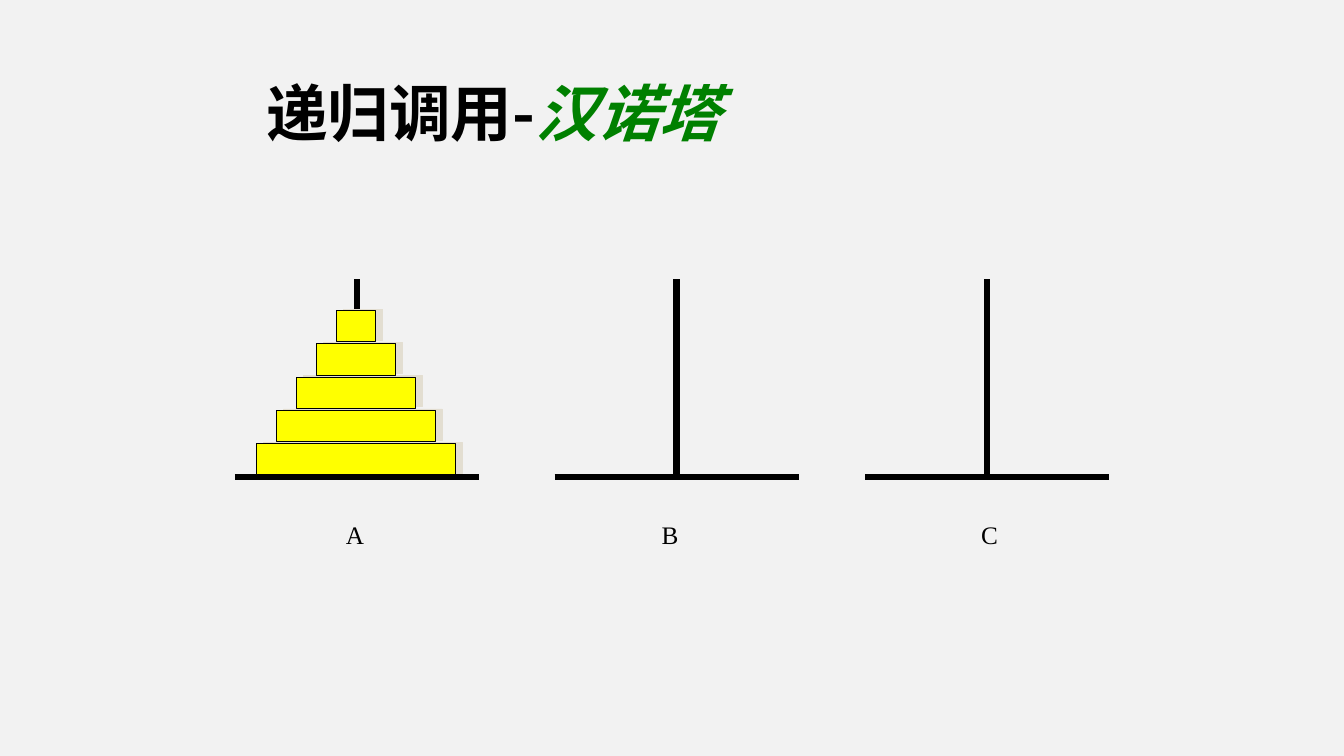
from lxml import etree
from pptx import Presentation
from pptx import util as u
from pptx.dml.color import RGBColor
from pptx.enum import shapes, text
from pptx.oxml.ns import qn

WIDE, HIGH = 13.33, 7.5
HAN, LATIN = "Noto Sans CJK SC", "Times New Roman"
HEX = {"back": "F2F2F2", "ink": "000000", "disc": "FFFF00",
       "shade": "E3DED1", "accent": "008000"}

# Shares of the slide, in percent
BASE, FOOT, TOP = 18.15, 63.07, 36.93
DISCS, STEP, THICK, PITCH, FIRST = 5, 2.95, 4.13, 4.4, 41.07
PEGS = [("A", 26.56, 26.41), ("B", 50.34, 49.85), ("C", 73.44, 73.63)]


def across(share):
    return u.Inches(WIDE * share / 100)


def down(share):
    return u.Inches(HIGH * share / 100)


def color(name):
    return RGBColor.from_string(HEX[name])


def add_line(slide, x1, y1, x2, y2):
    line = slide.shapes.add_connector(
        shapes.MSO_CONNECTOR.STRAIGHT, across(x1), down(y1), across(x2), down(y2))
    line.line.color.rgb = color("ink")
    line.line.width = u.Pt(4.5)
    etree.SubElement(line._element.spPr, qn("a:effectLst"))


def add_shade(shape):
    shape.shadow.inherit = False
    effect = shape._element.spPr.find(qn("a:effectLst"))
    shade = etree.SubElement(effect, qn("a:outerShdw"), blurRad="0",
                             dist=str(u.Pt(5.1)), dir=str(349 * 60000),
                             algn="ctr", rotWithShape="0")
    etree.SubElement(shade, qn("a:srgbClr"), val=HEX["shade"])


def add_disc(slide, mid, rank):
    width = STEP * rank
    disc = slide.shapes.add_shape(
        shapes.MSO_SHAPE.RECTANGLE, across(mid - width / 2),
        down(FIRST + PITCH * (rank - 1)), across(width), down(THICK))
    disc.fill.solid()
    disc.fill.fore_color.rgb = color("disc")
    disc.line.color.rgb = color("ink")
    disc.line.width = u.Pt(0.5)
    add_shade(disc)


def add_label(slide, words, mid):
    width = 2.85
    box = slide.shapes.add_textbox(across(mid - width / 2), down(68),
                                   across(width), down(5.47))
    frame = box.text_frame
    frame.word_wrap = False
    frame.vertical_anchor = text.MSO_ANCHOR.MIDDLE
    para = frame.paragraphs[0]
    para.text = words
    para.alignment = text.PP_ALIGN.CENTER
    para.font.name = LATIN
    para.font.size = u.Pt(18)
    para.font.color.rgb = color("ink")


def set_title(slide):
    title = slide.shapes.title
    title.left, title.top = across(19.05), down(5.73)
    title.width, title.height = across(47.79), down(19.33)
    frame = title.text_frame
    frame.word_wrap = True
    frame.vertical_anchor = text.MSO_ANCHOR.MIDDLE
    para = frame.paragraphs[0]
    para.alignment = text.PP_ALIGN.LEFT
    para.line_spacing = 0.9
    for words, tint, slant in [("递归调用-", "ink", False), ("汉诺塔", "accent", True)]:
        run = para.add_run()
        run.text = words
        font = run.font
        font.size, font.bold, font.italic = u.Pt(44), True, slant
        font.color.rgb = color(tint)
        font.name = HAN
        etree.SubElement(run._r.rPr, qn("a:ea"), typeface=HAN)


def main():
    deck = Presentation()
    deck.slide_width, deck.slide_height = u.Inches(WIDE), u.Inches(HIGH)
    slide = deck.slides.add_slide(deck.slide_layouts[5])
    slide.background.fill.solid()
    slide.background.fill.fore_color.rgb = color("back")
    set_title(slide)

    # Pegs on their bases, with letters
    for name, mid, spot in PEGS:
        add_line(slide, mid - BASE / 2, FOOT, mid + BASE / 2, FOOT)
        add_line(slide, mid, TOP, mid, FOOT)
        add_label(slide, name, spot)

    # Tower on the first peg, widest disc at the back
    for rank in range(DISCS, 0, -1):
        add_disc(slide, 26.48, rank)

    deck.save("out.pptx")


if __name__ == "__main__":
    main()
